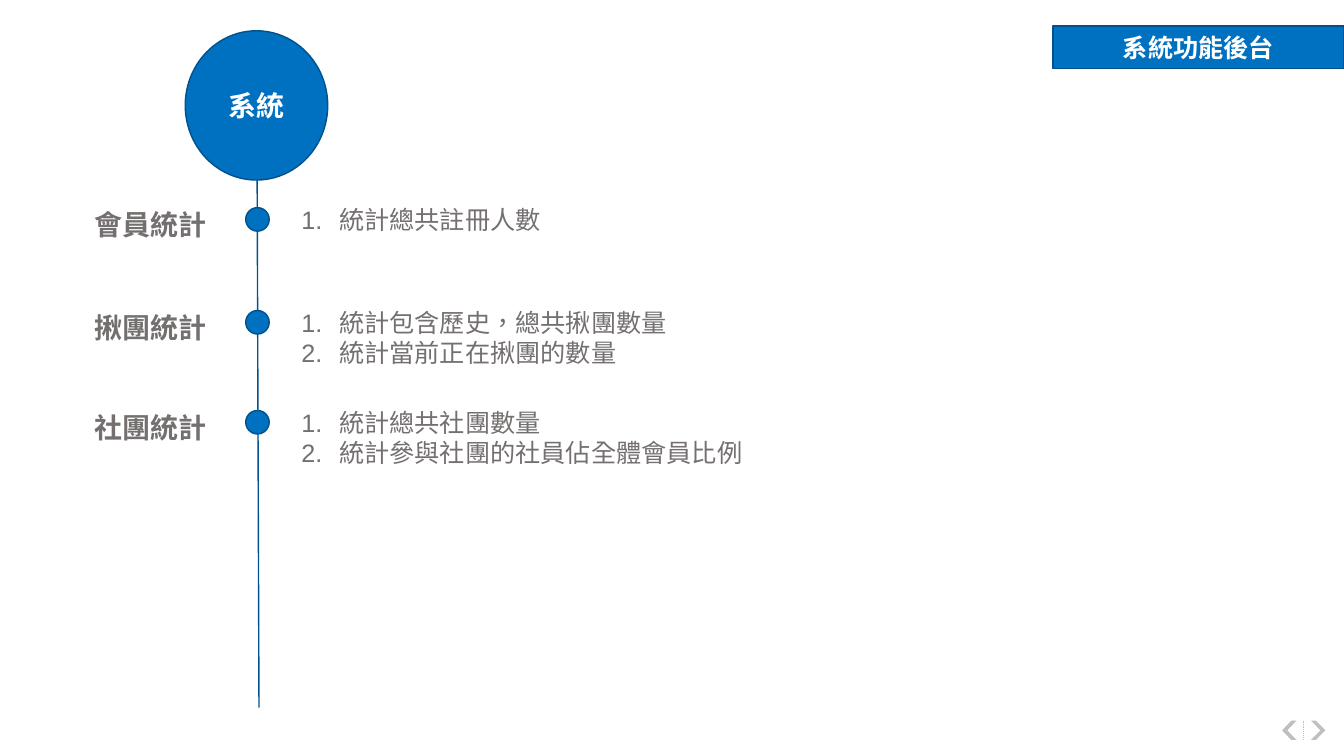
from lxml.etree import SubElement
from pptx import Presentation
from pptx.dml.color import RGBColor
from pptx.enum.dml import MSO_LINE
from pptx.enum.lang import MSO_LANGUAGE_ID as Language
from pptx.enum.shapes import MSO_CONNECTOR as Connector, MSO_SHAPE as Shape
from pptx.enum.text import MSO_ANCHOR as Anchor, MSO_AUTO_SIZE as AutoSize, PP_ALIGN as Align
from pptx.oxml.ns import qn
from pptx.util import Pt

COLORS = {
    "blue": "0070C0",
    "outline": "00518C",
    "text": "757070",
    "white": "FFFFFF",
    "gray": "BFBFBF",
}
FONT = "Arial"
TITLE = "系統功能後台"
HUB = "系統"
DOT_SIZE = 16.8
# Top of the dot, label, numbered functions
SECTIONS = [
    (148.3, "會員統計", ["統計總共註冊人數"]),
    (221.8, "揪團統計", ["統計包含歷史，總共揪團數量", "統計當前正在揪團的數量"]),
    (293.2, "社團統計", ["統計總共社團數量", "統計參與社團的社員佔全體會員比例"]),
]


def rgb(name):
    return RGBColor.from_string(COLORS[name])


class SlideBuilder:
    def __init__(self, slide):
        self.slide = slide

    def paint(self, shape, fill="blue", outline="outline"):
        shape.fill.solid()
        shape.fill.fore_color.rgb = rgb(fill)
        if outline:
            shape.line.color.rgb = rgb(outline)
            shape.line.width = Pt(1)
        else:
            shape.line.fill.background()

    def set_text(self, shape, text, size, color, bold=True, align=Align.CENTER, anchor=Anchor.MIDDLE):
        frame = shape.text_frame
        frame.text = text
        frame.word_wrap = True
        frame.auto_size = AutoSize.NONE
        frame.vertical_anchor = anchor
        for paragraph in frame.paragraphs:
            paragraph.alignment = align
            for run in paragraph.runs:
                font = run.font
                font.size, font.bold, font.name = Pt(size), bold, FONT
                font.color.rgb = rgb(color)
                font.language_id = Language.TRADITIONAL_CHINESE
                SubElement(run._r.get_or_add_rPr(), qn("a:ea"), typeface=FONT)

    def title(self, text, left, top, width, height):
        title = self.slide.shapes.title
        title.left, title.top, title.width, title.height = map(Pt, (left, top, width, height))
        self.paint(title)
        self.set_text(title, text, 18, "white")

    def shape(self, kind, left, top, width, height, **style):
        shape = self.slide.shapes.add_shape(kind, *map(Pt, (left, top, width, height)))
        shape.shadow.inherit = False
        self.paint(shape, **style)
        return shape

    def line(self, x1, y1, x2, y2, color, width, dash=None):
        line = self.slide.shapes.add_connector(Connector.STRAIGHT, *map(Pt, (x1, y1, x2, y2)))
        line.line.color.rgb = rgb(color)
        line.line.width = Pt(width)
        if dash:
            line.line.dash_style = dash
        SubElement(line._element.spPr, qn("a:effectLst"))

    def label(self, text, left, top, width, height):
        box = self.slide.shapes.add_textbox(*map(Pt, (left, top, width, height)))
        self.set_text(box, text, 20, "text")

    def numbered_list(self, items, left, top, width):
        height = 7.2 + 21.8 * len(items)
        box = self.slide.shapes.add_textbox(*map(Pt, (left, top, width, height)))
        self.set_text(box, "\n".join(items), 18, "text", False, Align.LEFT, Anchor.TOP)
        for paragraph in box.text_frame.paragraphs:
            properties = paragraph._p.get_or_add_pPr()
            properties.set("marL", str(Pt(27)))
            properties.set("indent", str(Pt(-27)))
            SubElement(properties, qn("a:buFont"), typeface="+mj-lt")
            SubElement(properties, qn("a:buAutoNum"), type="arabicPeriod")

    def page_arrows(self):
        self.line(930.9, 528.5, 930.9, 514.8, "gray", 0.75, MSO_LINE.ROUND_DOT)
        for left, rotation, adjustment in ((936.5, 0, 0.66), (915.8, 180, 0.64)):
            chevron = self.shape(Shape.CHEVRON, left, 514.8, 10.2, 13.7, fill="gray", outline=None)
            chevron.rotation = rotation
            chevron.adjustments[0] = adjustment


def main():
    presentation = Presentation()
    presentation.slide_width, presentation.slide_height = Pt(960), Pt(540)
    builder = SlideBuilder(presentation.slides.add_slide(presentation.slide_layouts[5]))

    builder.page_arrows()
    builder.line(183.6, 105.8, 185, 505.4, "outline", 1)
    hub = builder.shape(Shape.OVAL, 132.3, 22, 101.8, 106.6)
    builder.set_text(hub, HUB, 20, "white")
    builder.title(TITLE, 752.1, 18.7, 208, 30.2)
    for top, label, functions in SECTIONS:
        builder.shape(Shape.OVAL, 175.5, top, DOT_SIZE, DOT_SIZE)
        builder.label(label, 35.3, top - 7.7, 144.7, 38.9)
        builder.numbered_list(functions, 208.2, top - 5.8, 487.4)

    presentation.save("out.pptx")


if __name__ == "__main__":
    main()
